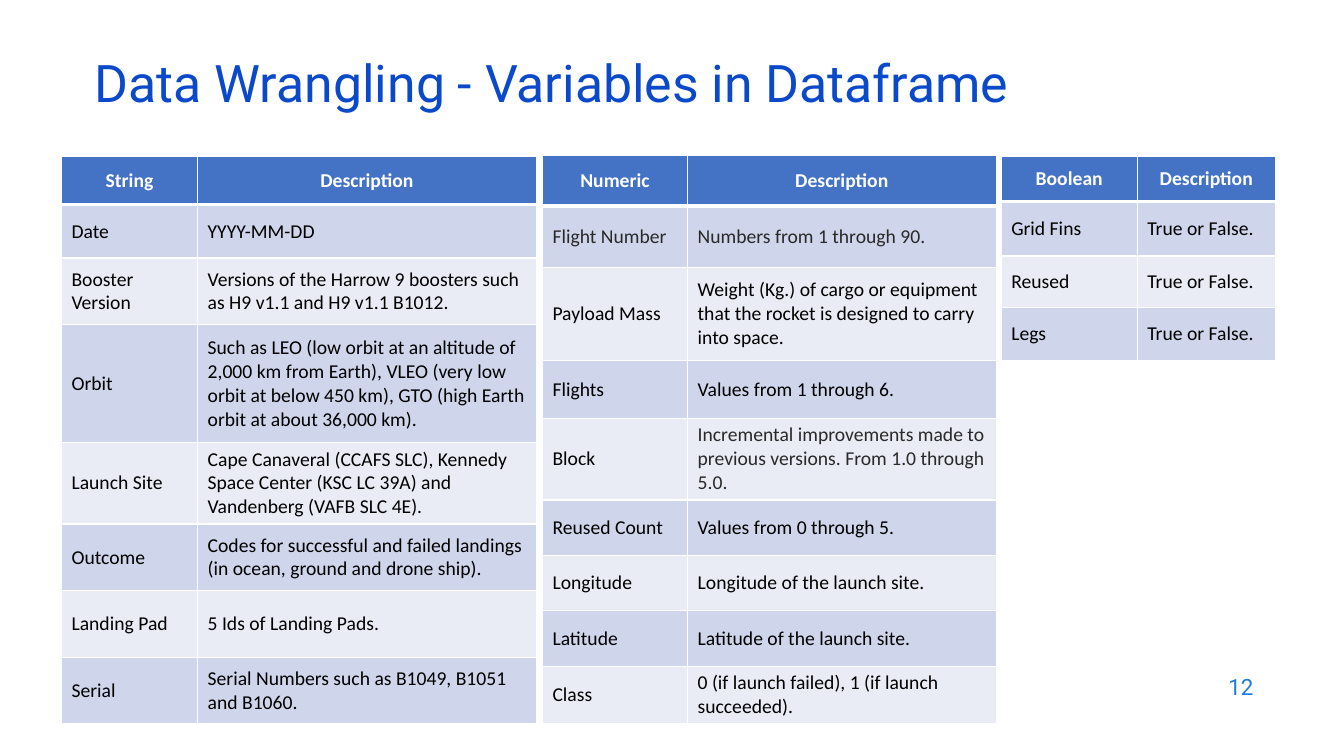
from lxml.etree import SubElement
from pptx import Presentation
from pptx.dml.color import RGBColor
from pptx.enum.text import MSO_ANCHOR, PP_ALIGN
from pptx.oxml.ns import qn
from pptx.util import Inches, Pt

COLORS = {
    "title": "0B49CB", "number": "1C7DDB", "header": "4472C4",
    "odd": "CFD5EA", "even": "E9EBF5", "white": "FFFFFF",
    "black": "000000", "charcoal": "292929",
}

TEXTS = [
    {"text": "12", "at": (9.53, 6.59, 3, 0.44), "size": 16, "color": "number",
     "align": PP_ALIGN.RIGHT, "spacing": 1.0},
    {"text": "Data Wrangling - Variables in Dataframe", "at": (0.84, 0.59, 11.5, 0.6),
     "size": 37, "color": "title", "align": PP_ALIGN.LEFT, "spacing": 0.7},
]

TABLES = [
    {
        "corner": (0.61, 1.55),
        "columns": (1.35, 3.36),
        "heights": (0.48, 0.53, 0.66, 1.17, 0.81, 0.66, 0.66, 0.66),
        "rows": [
            ("String", "Description"),
            ("Date", "YYYY-MM-DD"),
            ("Booster Version",
             "Versions of the Harrow 9 boosters such as H9 v1.1 and H9 v1.1 B1012."),
            ("Orbit",
             "Such as LEO (low orbit at an altitude of 2,000 km from Earth), VLEO (very low "
             "orbit at below 450 km), GTO (high Earth orbit at about 36,000 km)."),
            ("Launch Site",
             "Cape Canaveral (CCAFS SLC), Kennedy Space Center (KSC LC 39A) and "
             "Vandenberg (VAFB SLC 4E)."),
            ("Outcome",
             "Codes for successful and failed landings (in ocean, ground and drone ship)."),
            ("Landing Pad", "5 Ids of Landing Pads."),
            ("Serial", "Serial Numbers such as B1049, B1051 and B1060."),
        ],
    },
    {
        "corner": (5.38, 1.54),
        "columns": (1.44, 3.06),
        "heights": (0.5, 0.61, 0.93, 0.57, 0.81, 0.55, 0.55, 0.55, 0.57),
        "rows": [
            ("Numeric", "Description"),
            ("Flight Number", "Numbers from 1 through 90."),
            ("Payload Mass",
             "Weight (Kg.) of cargo or equipment that the rocket is designed to carry "
             "into space."),
            ("Flights", "Values from 1 through 6."),
            ("Block",
             "Incremental improvements made to previous versions. From 1.0 through 5.0."),
            ("Reused Count", "Values from 0 through 5."),
            ("Longitude", "Longitude of the launch site."),
            ("Latitude", "Latitude of the launch site."),
            ("Class", "0 (if launch failed), 1 (if launch succeeded)."),
        ],
        "charcoal": {(1, 0), (1, 1), (4, 1)},
    },
    {
        "corner": (9.93, 1.55),
        "columns": (1.35, 1.37),
        "heights": (0.45, 0.54, 0.51, 0.53),
        "rows": [
            ("Boolean", "Description"),
            ("Grid Fins", "True or False."),
            ("Reused", "True or False."),
            ("Legs", "True or False."),
        ],
    },
]


def color(name):
    return RGBColor.from_string(COLORS[name])


def write(paragraph, text, tone, **formats):
    span = paragraph.add_run()
    span.text = text
    for name, value in formats.items():
        setattr(span.font, name, value)
    span.font.color.rgb = color(tone)


def add_text(page, item):
    box = page.shapes.add_textbox(*map(Inches, item["at"]))
    frame = box.text_frame
    frame.word_wrap = True
    frame.vertical_anchor = MSO_ANCHOR.MIDDLE
    para = frame.paragraphs[0]
    para.alignment = item["align"]
    para.line_spacing = item["spacing"]
    write(para, item["text"], item["color"], size=Pt(item["size"]), name="Roboto")


def add_borders(cell, row):
    """White lines all round, thicker between the header and the first row."""
    widths = {"L": 1, "R": 1, "T": 3 if row == 1 else 1, "B": 3 if row == 0 else 1}
    properties = cell._tc.get_or_add_tcPr()
    for side, width in widths.items():
        line = SubElement(properties, qn(f"a:ln{side}"), w=str(Pt(width)))
        fill = SubElement(line, qn("a:solidFill"))
        SubElement(fill, qn("a:srgbClr"), val=COLORS["white"])


def fill_cell(cell, text, row, tone):
    header = row == 0
    add_borders(cell, row)
    cell.fill.solid()
    cell.fill.fore_color.rgb = color("header" if header else "odd" if row % 2 else "even")
    cell.vertical_anchor = MSO_ANCHOR.MIDDLE
    para = cell.text_frame.paragraphs[0]
    para.alignment = PP_ALIGN.CENTER if header else PP_ALIGN.LEFT
    write(para, text, "white" if header else tone, size=Pt(14), name="Calibri", bold=header)


def add_variables(page, item):
    rows, columns, heights = item["rows"], item["columns"], item["heights"]
    area = (*item["corner"], sum(columns), sum(heights))
    table = page.shapes.add_table(len(rows), len(columns), *map(Inches, area)).table
    for column, width in zip(table.columns, columns):
        column.width = Inches(width)
    for row, height in zip(table.rows, heights):
        row.height = Inches(height)
    for r, texts in enumerate(rows):
        for c, text in enumerate(texts):
            tone = "charcoal" if (r, c) in item.get("charcoal", ()) else "black"
            fill_cell(table.cell(r, c), text, r, tone)


def main():
    deck = Presentation()
    deck.slide_width, deck.slide_height = Inches(13.33), Inches(7.5)
    page = deck.slides.add_slide(deck.slide_layouts[6])
    for item in TEXTS:
        add_text(page, item)
    for item in TABLES:
        add_variables(page, item)
    deck.save("out.pptx")


if __name__ == "__main__":
    main()
